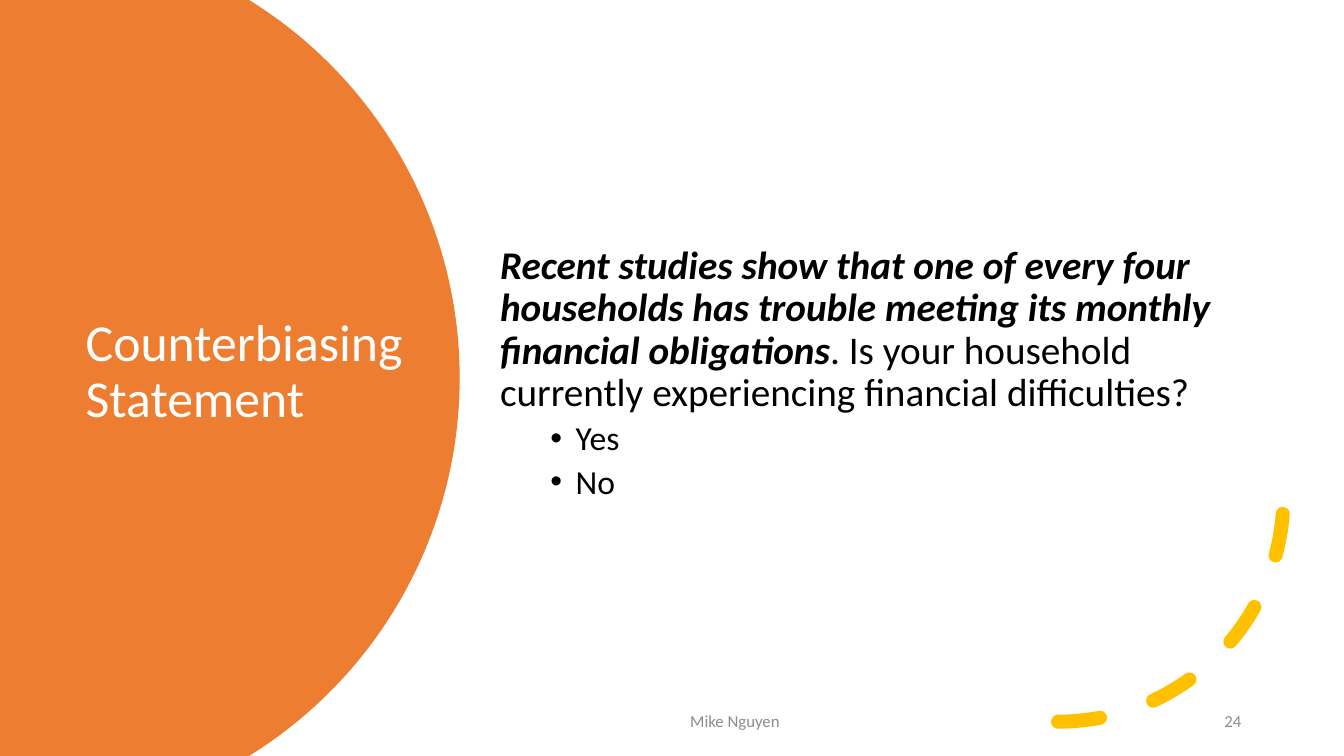
import math

from lxml import etree
from pptx import Presentation
from pptx import util as u
from pptx.dml.color import RGBColor
from pptx.enum import dml, shapes, text
from pptx.oxml.ns import qn

COLORS = {"disc": "ED7D31", "arc": "FFC000", "title": "FFFFFF",
          "body": "000000", "footer": "8C8C8C"}
WIDTH, HEIGHT = 13.33, 7.5


def place(shape, left, top, width, height):
    shape.left, shape.top = u.Inches(left), u.Inches(top)
    shape.width, shape.height = u.Inches(width), u.Inches(height)


def add_run(paragraph, words, size, color, emphasis=False):
    run = paragraph.add_run()
    run.text = words
    run.font.name = "Calibri"
    run.font.size = u.Pt(size)
    run.font.bold = run.font.italic = emphasis
    run.font.color.rgb = RGBColor.from_string(COLORS[color])


deck = Presentation()
deck.slide_width, deck.slide_height = u.Inches(WIDTH), u.Inches(HEIGHT)
slide = deck.slides.add_slide(deck.slide_layouts[1])
title, body = slide.placeholders

# Disc cut off by the left, top and bottom edges of the slide
center_x, radius, steps = 0.15, 4.41, 120
half_angle = math.asin(HEIGHT / 2 / radius)
rim = []
for step in range(steps + 1):
    angle = half_angle * (2 * step / steps - 1)
    rim.append((u.Inches(center_x + radius * math.cos(angle)),
                u.Inches(HEIGHT / 2 + radius * math.sin(angle))))
builder = slide.shapes.build_freeform(0, 0)
builder.add_line_segments(rim + [(0, u.Inches(HEIGHT))], close=True)
disc = builder.convert_to_shape()
disc.shadow.inherit = False
disc.fill.solid()
disc.fill.fore_color.rgb = RGBColor.from_string(COLORS["disc"])
disc.line.fill.background()
slide.shapes._spTree.insert(2, disc._element)

# Dashed quarter circle
arc = slide.shapes.add_shape(shapes.MSO_SHAPE.ARC, 0, 0, 0, 0)
place(arc, 8.26, 2.69, 4.47, 4.47)
arc.shadow.inherit = False
arc.fill.background()
arc.line.color.rgb = RGBColor.from_string(COLORS["arc"])
arc.line.width = u.Pt(10)
arc.line.dash_style = dml.MSO_LINE.DASH
arc.line._ln.set("cap", "rnd")
arc._element.spPr.xfrm.set("flipV", "1")

# Title
place(title, 0.75, 1.26, 3.5, 4.88)
heading = title.text_frame.paragraphs[0]
heading.alignment = text.PP_ALIGN.LEFT
heading.line_spacing = 0.9
add_run(heading, "Counterbiasing Statement", 37, "title")

# Question and its answers
place(body, 4.86, 0.65, 7.55, 6.11)
question = body.text_frame.paragraphs[0]
question.line_spacing = 0.9
question.space_before = u.Pt(10)
add_run(question, "Recent studies show that one of every four households has "
        "trouble meeting its monthly financial obligations", 28, "body", True)
add_run(question, ". Is your household currently experiencing financial "
        "difficulties?", 28, "body")
question_props = question._p.get_or_add_pPr()
question_props.set("marL", "0")
question_props.set("indent", "0")
etree.SubElement(question_props, qn("a:buNone"))

for choice in ("Yes", "No"):
    answer = body.text_frame.add_paragraph()
    answer.level = 1
    answer.line_spacing = 0.9
    answer.space_before = u.Pt(5)
    add_run(answer, choice, 24, "body")
    answer_props = answer._p.get_or_add_pPr()
    answer_props.set("marL", str(u.Inches(0.75)))
    answer_props.set("indent", str(u.Inches(-0.25)))
    etree.SubElement(answer_props, qn("a:buFont"), typeface="Arial")
    etree.SubElement(answer_props, qn("a:buChar"), char="•")

for holder in (title, body):
    holder.text_frame.word_wrap = True
    holder.text_frame.auto_size = text.MSO_AUTO_SIZE.NONE
    holder.text_frame.vertical_anchor = text.MSO_ANCHOR.MIDDLE

# Footer
for words, left, width, alignment in (
        ("Mike Nguyen", 4.42, 5.74, text.PP_ALIGN.CENTER),
        ("24", 10.43, 1.98, text.PP_ALIGN.RIGHT)):
    footer = slide.shapes.add_textbox(0, 0, 0, 0)
    place(footer, left, 6.95, width, 0.4)
    footer.text_frame.word_wrap = True
    footer.text_frame.vertical_anchor = text.MSO_ANCHOR.MIDDLE
    line = footer.text_frame.paragraphs[0]
    line.alignment = alignment
    line.space_after = u.Pt(6)
    add_run(line, words, 12, "footer")

deck.save("out.pptx")
